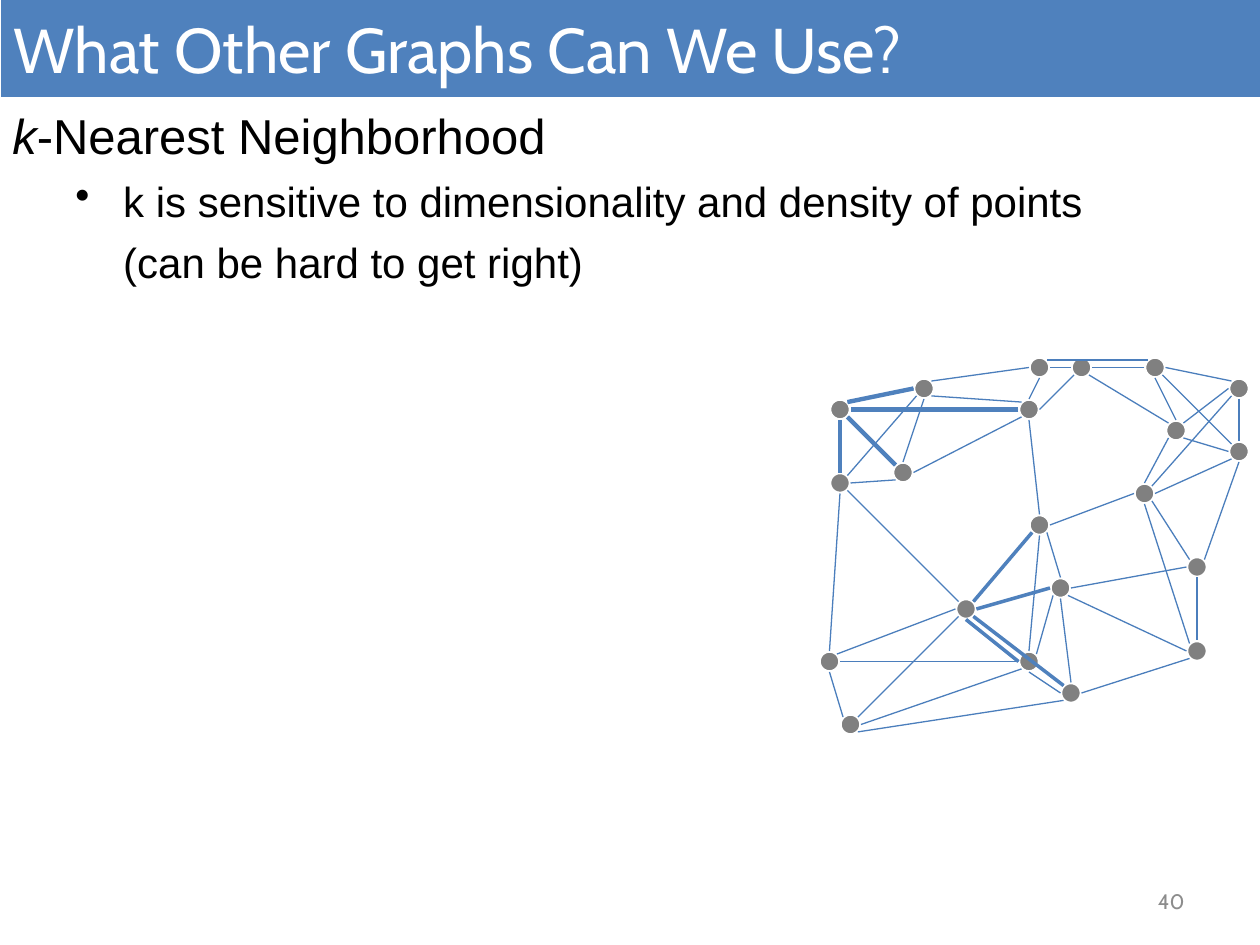
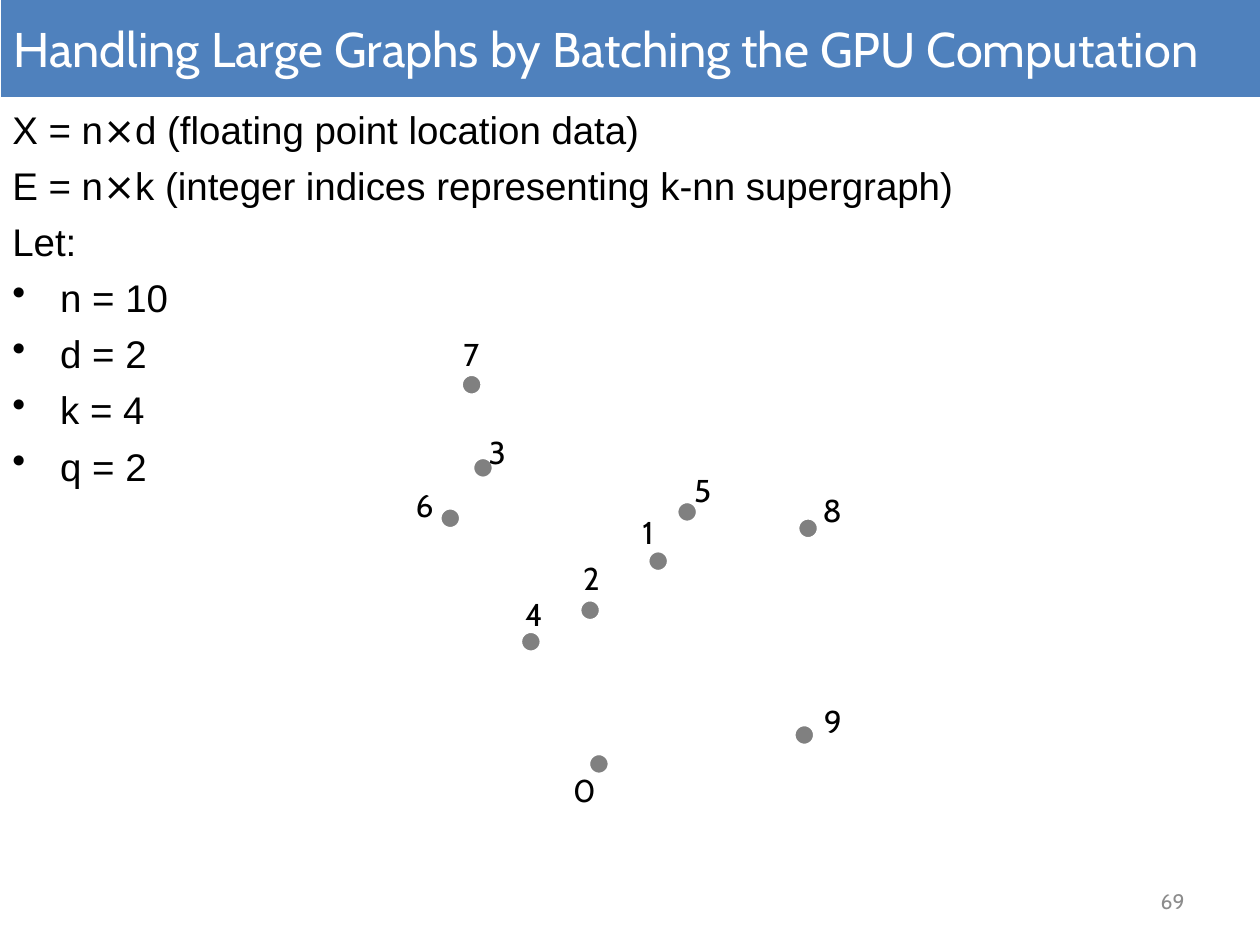
from math import cos, pi, sin
from pptx import Presentation
from pptx.dml.color import RGBColor
from pptx.enum.shapes import MSO_CONNECTOR, MSO_SHAPE
from pptx.enum.text import MSO_ANCHOR, PP_ALIGN
from pptx.oxml.ns import qn
from pptx.util import Inches, Pt

# Shared look
BLUE = RGBColor(0x4F, 0x81, 0xBD)
THIN = RGBColor(0x4B, 0x7E, 0xBC)
GREY = RGBColor(0x80, 0x80, 0x80)
PALE = RGBColor(0x8C, 0x8C, 0x8C)
WHITE = RGBColor(0xFF, 0xFF, 0xFF)
BLACK = RGBColor(0, 0, 0)
HEAD, BODY = "Cabin", "Arial"
WIDE, HIGH = 10, 7.5
UNIT = 1 / 12  # grid step in inches, also the radius of a dot
HANG = 0.38

# Slide 1: (text, level, bullet, size), with italic lead in its own run
NEAR = [
    (("k", "-Nearest Neighborhood"), 0, False, 28),
    (("", "k is sensitive to dimensionality and density of points"), 1, True, 24),
    (("", "(can be hard to get right)"), 1, False, 24),
]

# Dot centres in grid steps
NODES = {
    "a": (114, 54), "b": (101, 56), "c": (92, 58), "d": (102, 66),
    "e": (114, 62), "f": (80, 39), "g": (88, 37), "h": (99, 35),
    "i": (103, 35), "j": (118, 37), "k": (112, 41), "l": (86, 45),
    "m": (99, 50), "n": (109, 47), "o": (98, 39), "p": (110, 35),
    "q": (98, 63), "r": (80, 46), "s": (79, 63), "t": (81, 69),
    "u": (118, 43),
}

# Each edge: node and rim site, twice; sites run 0-7 from the top, leftwards
EDGES = """
f4r0 f7g2 f5l1 l3r6 r4s0 u3n6 q2s6 g4l0 g5o1 o2f6 r5c1 p2i6 h4o0
o4m0 c5d1 k5u2 b2c6 c3t7 j3n7 k3n0 p4k0 m6n2 p6j1 e3d6 b5e2 b6a2
b4d0 n4e1 u4a7 i3o6 h7p1 m5b0 n5a1 i5k1 m3c7 a4e0 g3r7 s4t1 c2s7
q3t6 d3t5 g7h2 o3l6 i2h6 c4q2 q4d2 q7b3 q0m4 j2k7 j4u0 u1p5
"""
SETS = [
    (EDGES, THIN, 0.75),
    ("f4r0 f7g2 f5l1 o2f6", BLUE, 2.5),
    ("c5d1 b2c6 m3c7 c4q2", BLUE, 2),
]

# Slide 2
BATCH = [
    (("", text), 0, " = 1" in text or len(text) == 5, 22)
    for text in (
        "X = n⨯d (floating point location data)",
        "E = n⨯k (integer indices representing k-nn supergraph)",
        "Let:", "n = 10", "d = 2", "k = 4", "q = 2",
    )
]

# Dot corner and label corner, in inches, listed from point 0 to 9
POINTS = [
    (4.67, 5.98, 4.45, 6.07), (5.14, 4.37, 5.00, 4.02),
    (4.60, 4.76, 4.53, 4.39), (3.75, 3.63, 3.78, 3.39),
    (4.13, 5.01, 4.07, 4.67), (5.37, 3.98, 5.41, 3.69),
    (3.49, 4.03, 3.20, 3.81), (3.66, 2.97, 3.58, 2.61),
    (6.33, 4.11, 6.43, 3.85), (6.30, 5.75, 6.44, 5.52),
]


def style(para, size, font, tint):
    for run in para.runs:
        run.font.size = Pt(size)
        run.font.name = font
        run.font.color.rgb = tint


def add_text(slide, box, text, size, tint, wrap=True):
    shape = slide.shapes.add_textbox(*map(Inches, box))
    frame = shape.text_frame
    frame.word_wrap = wrap
    frame.text = text
    style(frame.paragraphs[0], size, HEAD, tint)
    return frame


def add_title(slide, text, size):
    band = slide.shapes.add_shape(
        MSO_SHAPE.RECTANGLE, Inches(0.01), 0, Inches(WIDE), Inches(0.77))
    band.shadow.inherit = False
    band.fill.solid()
    band.fill.fore_color.rgb = BLUE
    band.line.fill.background()
    frame = band.text_frame
    frame.vertical_anchor = MSO_ANCHOR.MIDDLE
    frame.text = text
    frame.paragraphs[0].alignment = PP_ALIGN.LEFT
    style(frame.paragraphs[0], size, HEAD, WHITE)


def add_page(slide, page):
    frame = add_text(slide, (7.17, 6.95, 2.33, 0.4), page, 12, PALE)
    frame.vertical_anchor = MSO_ANCHOR.MIDDLE
    frame.paragraphs[0].alignment = PP_ALIGN.RIGHT


def add_body(slide, rows, tall):
    box = slide.shapes.add_textbox(0, Inches(0.79), Inches(WIDE), Inches(tall))
    frame = box.text_frame
    frame.word_wrap = True
    for num, ((lead, text), level, mark, size) in enumerate(rows):
        para = frame.add_paragraph() if num else frame.paragraphs[0]
        para.level = level
        props = para._p.get_or_add_pPr()
        left = HANG + level * 0.5 if level or mark else 0
        props.set("marL", str(Inches(left)))
        props.set("indent", str(Inches(-HANG if mark else 0)))
        if mark:
            sign = props.makeelement(qn("a:buChar"), {"char": "•"})
            props.append(sign)
        if num:
            para.space_before = Pt(round(size * 0.26, 1))
        if lead:
            run = para.add_run()
            run.text = lead
            run.font.italic = True
        para.add_run().text = text
        style(para, size, BODY, BLACK)


def add_dot(slide, left, top):
    side = Inches(2 * UNIT)
    dot = slide.shapes.add_shape(
        MSO_SHAPE.OVAL, Inches(left), Inches(top), side, side)
    dot.shadow.inherit = False
    dot.fill.solid()
    dot.fill.fore_color.rgb = GREY
    dot.line.color.rgb = WHITE
    dot.line.width = Pt(2)


def rim(node, site):
    x, y = NODES[node]
    turn = int(site) * pi / 4
    return Inches((x - sin(turn)) * UNIT), Inches((y - cos(turn)) * UNIT)


def add_edge(slide, edge, tint, width):
    line = slide.shapes.add_connector(
        MSO_CONNECTOR.STRAIGHT, *rim(*edge[:2]), *rim(*edge[2:]))
    line.line.color.rgb = tint
    line.line.width = Pt(width)
    props = line._element.spPr
    props.append(props.makeelement(qn("a:effectLst"), {}))


def draw_near(slide):
    for x, y in NODES.values():
        add_dot(slide, (x - 1) * UNIT, (y - 1) * UNIT)
    add_body(slide, NEAR, 1.54)
    for edges, tint, width in SETS:
        for edge in edges.split():
            add_edge(slide, edge, tint, width)


def draw_batch(slide):
    add_body(slide, BATCH, 3.14)
    for left, top, _, _ in POINTS:
        add_dot(slide, left, top)
    for num, (_, _, left, top) in enumerate(POINTS):
        add_text(slide, (left, top, 0.35, 0.4), str(num), 18, BLACK, False)


SLIDES = [
    ("What Other Graphs Can We Use?", 36.1, "40", draw_near),
    ("Handling Large Graphs by Batching the GPU Computation", 27.8, "69",
     draw_batch),
]


def main():
    deck = Presentation()
    deck.slide_width, deck.slide_height = Inches(WIDE), Inches(HIGH)
    for title, size, page, draw in SLIDES:
        slide = deck.slides.add_slide(deck.slide_layouts[6])
        draw(slide)
        add_page(slide, page)
        add_title(slide, title, size)
    deck.save("out.pptx")


if __name__ == "__main__":
    main()
